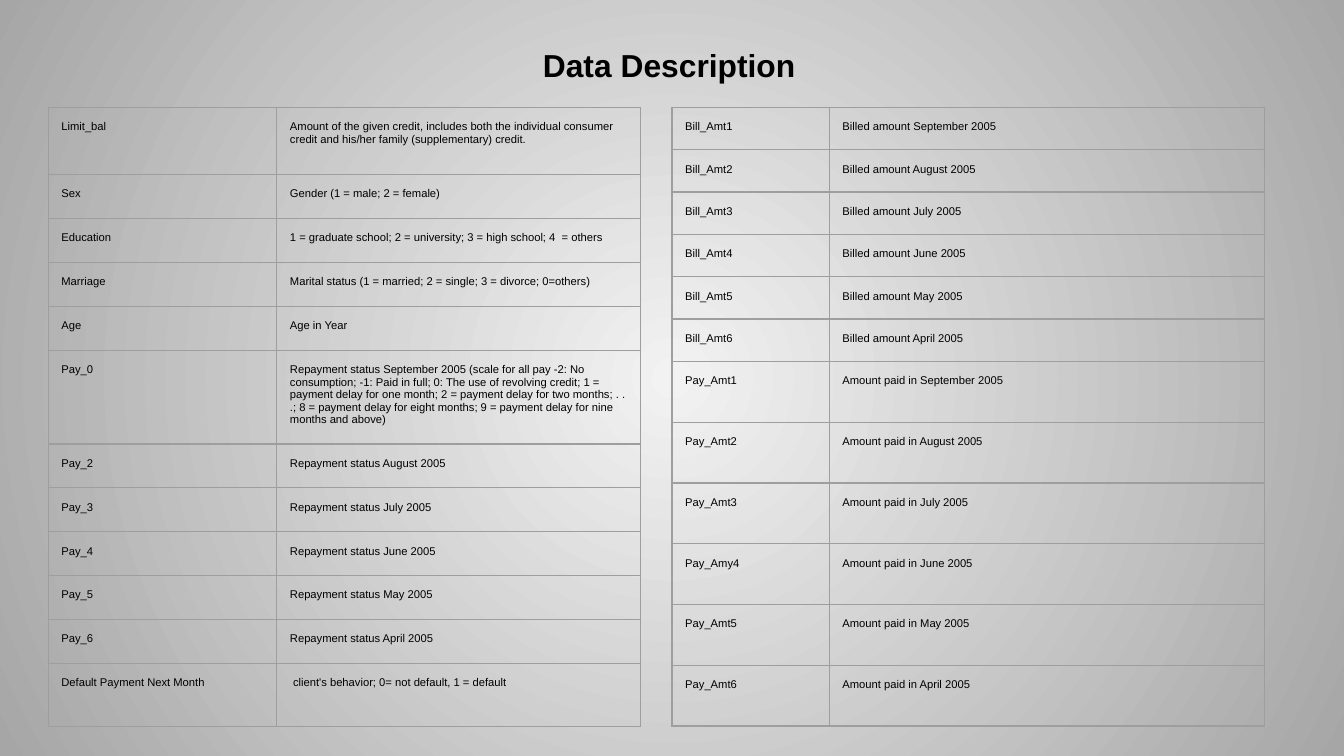
from dataclasses import dataclass

from pptx import Presentation
from pptx import util as u
from pptx.dml.color import RGBColor
from pptx.enum import text
from pptx.oxml import parse_xml
from pptx.oxml.ns import nsdecls, qn


@dataclass(frozen=True)
class Theme:
    font: str = "Arial"
    ink: str = "000000"
    border: str = "9E9E9E"
    glow: str = "F2F2F2"
    edge: str = "A6A6A6"
    title_size: u.Pt = u.Pt(17)
    cell_size: u.Pt = u.Pt(6)
    border_width: u.Pt = u.Pt(0.75)
    inset: u.Cm = u.Cm(0.25)


@dataclass(frozen=True)
class Field:
    name: str
    description: str
    height: float


@dataclass(frozen=True)
class FieldTable:
    left: float
    column_widths: tuple[float, float]
    fields: list[Field]


THEME = Theme()
TABLE_TOP = 2.03
LEFT_ROW = 0.83
BILL_ROW = 0.8
PAID_ROW = 1.15
MONTHS = ["September", "August", "July", "June", "May", "April"]

CLIENT_FIELDS = [
    Field("Limit_bal", "Amount of the given credit, includes both the individual consumer "
          "credit and his/her family (supplementary) credit.", 1.27),
    Field("Sex", "Gender (1 = male; 2 = female)", LEFT_ROW),
    Field("Education", "1 = graduate school; 2 = university; 3 = high school; 4  = others",
          LEFT_ROW),
    Field("Marriage", "Marital status (1 = married; 2 = single; 3 = divorce; 0=others)",
          LEFT_ROW),
    Field("Age", "Age in Year", LEFT_ROW),
    Field("Pay_0", "Repayment status September 2005 (scale for all pay -2: No consumption; "
          "-1: Paid in full; 0: The use of revolving credit; 1 = payment delay for one month; "
          "2 = payment delay for two months; . . .; 8 = payment delay for eight months; "
          "9 = payment delay for nine months and above)", LEFT_ROW),
    *[Field(f"Pay_{number}", f"Repayment status {month} 2005", LEFT_ROW)
      for number, month in enumerate(MONTHS[1:], 2)],
    Field("Default Payment Next Month", " client's behavior; 0= not default, 1 = default", 1.19),
]
PAID_NAMES = ["Pay_Amt1", "Pay_Amt2", "Pay_Amt3", "Pay_Amy4", "Pay_Amt5", "Pay_Amt6"]
AMOUNT_FIELDS = [
    *[Field(f"Bill_Amt{number}", f"Billed amount {month} 2005", BILL_ROW)
      for number, month in enumerate(MONTHS, 1)],
    *[Field(name, f"Amount paid in {month} 2005", PAID_ROW)
      for name, month in zip(PAID_NAMES, MONTHS)],
]
TABLES = [
    FieldTable(0.91, (4.32, 6.88), CLIENT_FIELDS),
    FieldTable(12.7, (2.97, 8.23), AMOUNT_FIELDS),
]


def format_paragraph(paragraph, size: u.Pt, bold: bool = False) -> None:
    font = paragraph.font
    font.name = THEME.font
    font.size = size
    font.bold = bold
    font.color.rgb = RGBColor.from_string(THEME.ink)


def set_insets(target) -> None:
    target.margin_left = target.margin_right = THEME.inset
    target.margin_top = target.margin_bottom = THEME.inset


def paint_background(slide) -> None:
    fill = slide.background.fill
    fill.gradient()
    for stop, color in zip(fill.gradient_stops, (THEME.glow, THEME.edge)):
        stop.color.rgb = RGBColor.from_string(color)
    gradient = slide.element.find(".//" + qn("a:gradFill"))
    radial = parse_xml(
        f'<a:path {nsdecls("a")} path="circle">'
        '<a:fillToRect l="50000" t="50000" r="50000" b="50000"/></a:path>')
    gradient.replace(gradient.find(qn("a:lin")), radial)


def write_title(slide, title: str) -> None:
    shape = slide.shapes.title
    shape.left, shape.top = u.Cm(2.39), u.Cm(0.61)
    shape.width, shape.height = u.Cm(21.74), u.Cm(1.24)
    frame = shape.text_frame
    frame.text = title
    frame.auto_size = text.MSO_AUTO_SIZE.SHAPE_TO_FIT_TEXT
    frame.vertical_anchor = text.MSO_ANCHOR.MIDDLE
    set_insets(frame)
    paragraph = frame.paragraphs[0]
    paragraph.alignment = text.PP_ALIGN.LEFT
    format_paragraph(paragraph, THEME.title_size, bold=True)
    properties = paragraph._p.get_or_add_pPr()
    properties.set("marL", str(u.Cm(6.35)))
    properties.set("indent", str(u.Cm(1.27)))


def draw_borders(cell) -> None:
    properties = cell._tc.get_or_add_tcPr()
    for side in ("lnL", "lnR", "lnT", "lnB"):
        properties.append(parse_xml(
            f'<a:{side} {nsdecls("a")} w="{THEME.border_width}"><a:solidFill>'
            f'<a:srgbClr val="{THEME.border}"/></a:solidFill></a:{side}>'))


def write_cell(cell, content: str) -> None:
    cell.text = content
    set_insets(cell)
    format_paragraph(cell.text_frame.paragraphs[0], THEME.cell_size)
    draw_borders(cell)
    cell.fill.background()


def draw_table(slide, field_table: FieldTable) -> None:
    fields = field_table.fields
    widths = field_table.column_widths
    table = slide.shapes.add_table(
        len(fields), len(widths), u.Cm(field_table.left), u.Cm(TABLE_TOP),
        u.Cm(sum(widths)), u.Cm(sum(field.height for field in fields))).table
    table.first_row = table.horz_banding = False
    for column, width in zip(table.columns, widths):
        column.width = u.Cm(width)
    for row, field in zip(table.rows, fields):
        row.height = u.Cm(field.height)
        for cell, content in zip(row.cells, (field.name, field.description)):
            write_cell(cell, content)


def main() -> None:
    presentation = Presentation()
    presentation.slide_width = u.Cm(25.4)
    presentation.slide_height = u.Cm(14.29)
    slide = presentation.slides.add_slide(presentation.slide_layouts[5])
    paint_background(slide)
    write_title(slide, "Data Description")
    for field_table in TABLES:
        draw_table(slide, field_table)
    presentation.save("out.pptx")


if __name__ == "__main__":
    main()
